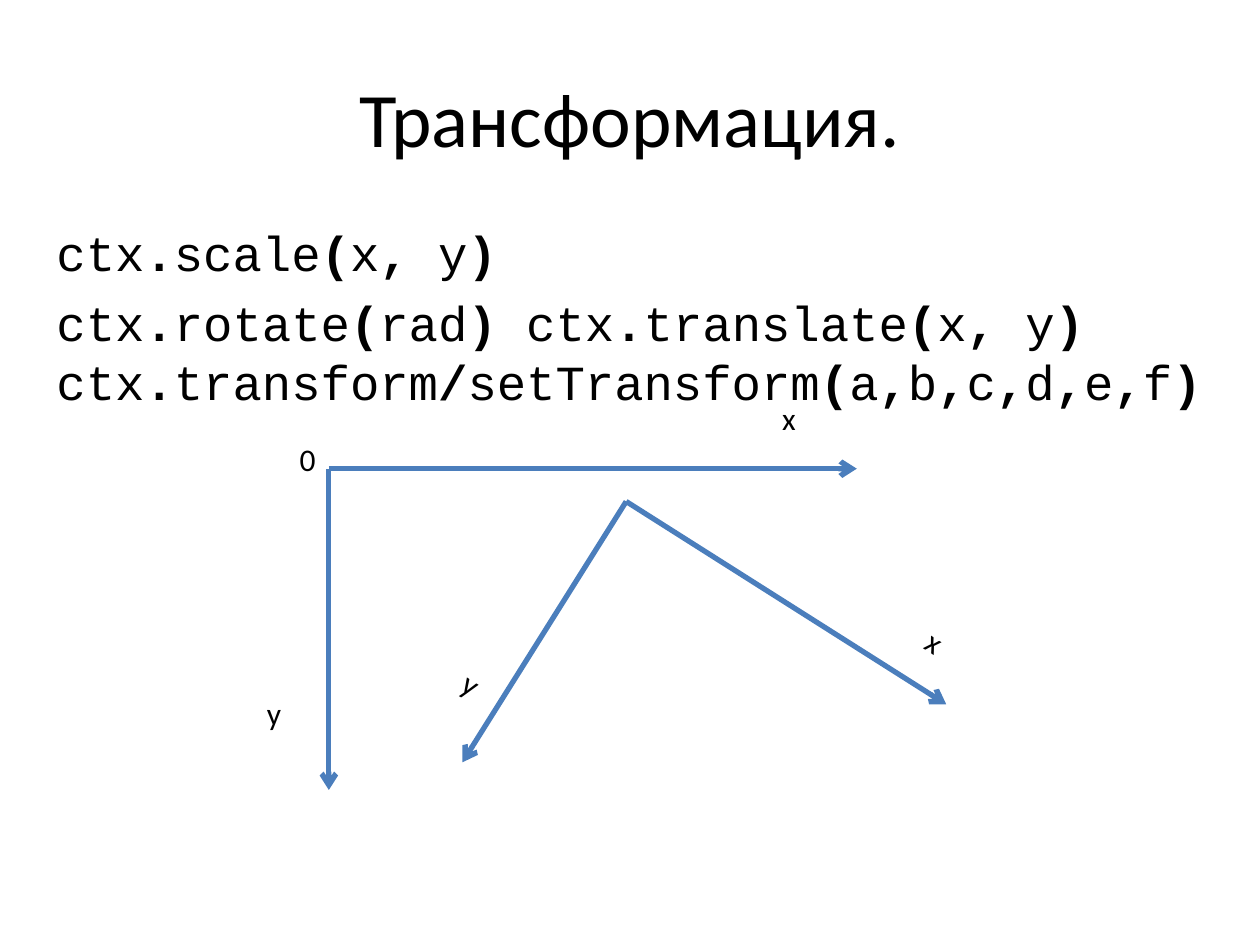
from itertools import groupby

from lxml import etree
from pptx import Presentation
from pptx.dml.color import RGBColor
from pptx.enum import shapes, text
from pptx.oxml import ns
from pptx.util import Inches, Pt

BLACK = RGBColor(0x00, 0x00, 0x00)
AXIS_BLUE = RGBColor(0x4B, 0x7E, 0xBC)
TILT = 32.3

TITLE_FONT = {"name": "Calibri", "size": Pt(44)}
CODE_FONT = {"name": "Courier New", "size": Pt(28)}
LABEL_FONT = {"name": "Calibri", "size": Pt(18)}

CODE = [
    "ctx.scale(x, y)",
    "ctx.rotate(rad) ctx.translate(x, y) ctx.transform/setTransform(a,b,c,d,e,f)",
]


def add_span(para, wording, font, bold=False):
    span = para.add_run()
    span.text = wording
    for name, value in {**font, "bold": bold}.items():
        setattr(span.font, name, value)
    span.font.color.rgb = BLACK


def add_box(parent, left, top, width, height, **frame_format):
    box = parent.shapes.add_textbox(*map(Inches, (left, top, width, height)))
    for name, value in frame_format.items():
        setattr(box.text_frame, name, value)
    return box


def add_title(page, wording):
    box = add_box(page, 0.5, 0.3, 9, 1.25, word_wrap=True,
                  vertical_anchor=text.MSO_ANCHOR.MIDDLE)
    para = box.text_frame.paragraphs[0]
    para.alignment = text.PP_ALIGN.CENTER
    add_span(para, wording, TITLE_FONT)


def add_code(page, lines):
    """Set each line as a paragraph, with its punctuation in bold."""
    frame = add_box(page, 0.35, 1.72, 9.37, 2.83, word_wrap=True).text_frame
    for index, line in enumerate(lines):
        para = frame.add_paragraph() if index else frame.paragraphs[0]
        if index:
            para.space_before = Pt(6)
        for bold, letters in groupby(line, lambda letter: letter in ".,()/"):
            add_span(para, "".join(letters), CODE_FONT, bold)


def add_label(parent, wording, left, top, width, height, rotation=0):
    box = add_box(parent, left, top, width, height, word_wrap=False,
                  auto_size=text.MSO_AUTO_SIZE.SHAPE_TO_FIT_TEXT)
    box.rotation = rotation
    add_span(box.text_frame.paragraphs[0], wording, LABEL_FONT)


def add_arrow(parent, start, end):
    arrow = parent.shapes.add_connector(
        shapes.MSO_CONNECTOR.STRAIGHT, *map(Inches, (*start, *end)))
    arrow.line.color.rgb = AXIS_BLUE
    arrow.line.width = Pt(3)
    etree.SubElement(arrow.line._get_or_add_ln(), ns.qn("a:tailEnd"), type="arrow")
    etree.SubElement(arrow._element.spPr, ns.qn("a:effectLst"))


def add_axes(page, origin, x_end, y_end, x_label, y_label, label_size, rotation=0):
    """Group two arrows from one origin with their labels."""
    axes = page.shapes.add_group_shape()
    for end in (x_end, y_end):
        add_arrow(axes, origin, end)
    for wording, corner in (("y", y_label), ("x", x_label)):
        add_label(axes, wording, *corner, *label_size, rotation)


def main():
    deck = Presentation()
    deck.slide_width, deck.slide_height = Inches(10), Inches(7.5)
    page = deck.slides.add_slide(deck.slide_layouts[6])
    add_title(page, "Трансформация.")
    add_code(page, CODE)
    add_axes(page, (2.61, 3.72), (6.8, 3.72), (2.61, 6.27),
             x_label=(6.11, 3.12), y_label=(2.02, 5.46), label_size=(0.48, 0.6))
    add_axes(page, (4.97, 3.98), (7.51, 5.59), (3.67, 6.05),
             x_label=(7.22, 4.89), y_label=(3.54, 5.22), label_size=(0.34, 0.57),
             rotation=TILT)
    add_label(page, "0", 2.28, 3.44, 0.33, 0.4)
    deck.save("out.pptx")


if __name__ == "__main__":
    main()
